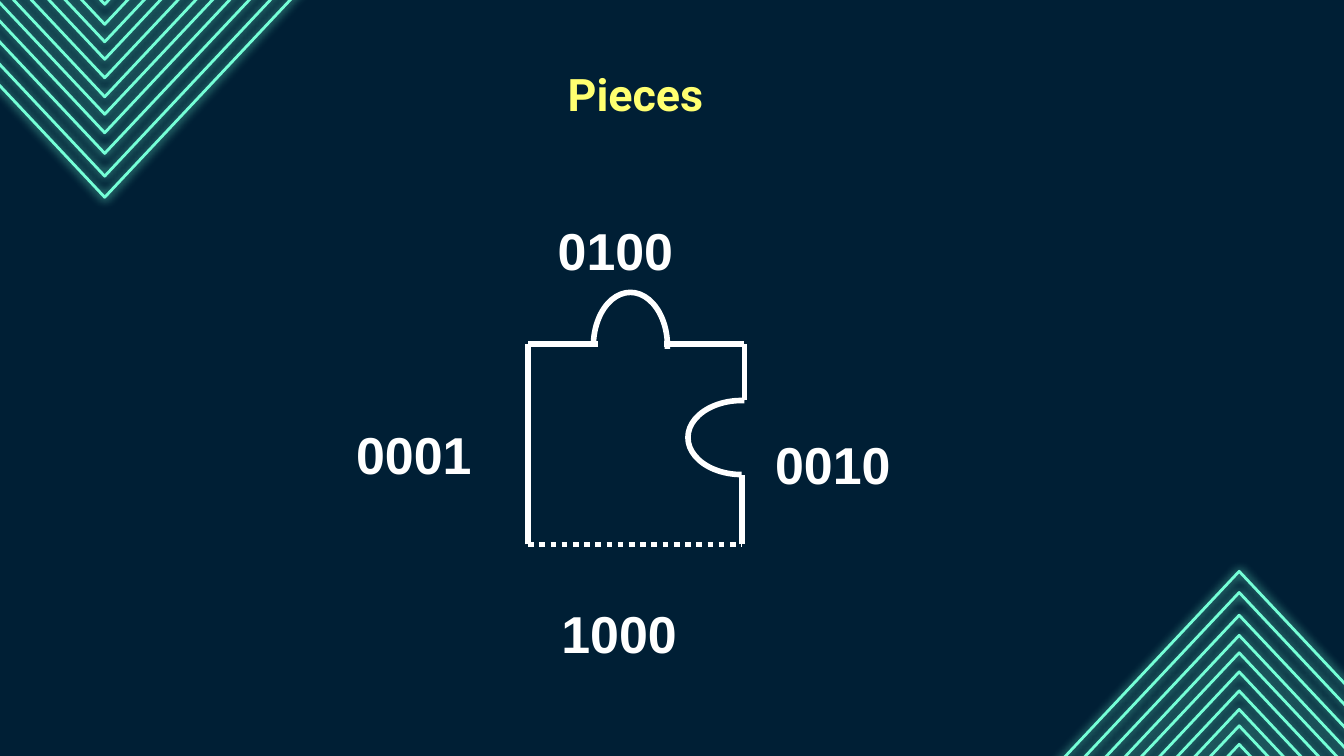
from lxml.etree import SubElement
from pptx import Presentation
from pptx.dml.color import RGBColor
from pptx.enum.dml import MSO_LINE
from pptx.enum.shapes import MSO_CONNECTOR, MSO_SHAPE
from pptx.enum.text import MSO_ANCHOR, PP_ALIGN
from pptx.oxml.ns import qn
from pptx.util import Cm, Pt

# Content, lengths in centimetres
NAVY, MINT, YELLOW, WHITE = "001F35", "75FFD7", "FFFF70", "FFFFFF"
TITLE = "Pieces"
LABELS = [("0010", 14.4, 6.91), ("0001", 6.48, 6.73),
          ("0100", 10.29, 2.87), ("1000", 10.36, 10.11)]
SMALL, LARGE = (4.2, 4.46), (5.45, 5.8)  # half width and height of a chevron
# Apex x, direction of the arms, then chevron size and apex heights
CHEVRONS = [
    (1.98, -1, [(SMALL, [2.9, 2.16, 1.47, 0.79, 0.08]),
                (LARGE, [3.73, 3.33, 2.51, 1.83, 1.12, 0.46])]),
    (23.42, 1, [(SMALL, [11.63, 12.34, 13.06, 13.72]),
                (LARGE, [10.8, 11.2, 12.01, 12.7, 13.41, 14.07])]),
]
# Edges of the puzzle piece
LEFT, RIGHT, SIDE, TOP, BOTTOM = 9.98, 14.02, 14.07, 6.5, 10.29
EDGES = [(LEFT, BOTTOM, LEFT, TOP), (SIDE, 7.57, SIDE, TOP),
         (RIGHT, BOTTOM, RIGHT, 8.97), (11.3, TOP, LEFT, TOP),
         (SIDE, TOP, 12.55, TOP)]
ARCS = [(10.9, 5.84, 270), (13, 7.57, 180)]


def rgb(color):
    return RGBColor.from_string(color)


def style_line(line, color, width, dash=None):
    line.color.rgb = rgb(color)
    line.width = Pt(width)
    if dash:
        line.dash_style = dash


def add_text(s, text, x, y, w, h, size=48, font="Arial", color=WHITE,
             align=PP_ALIGN.LEFT, anchor=MSO_ANCHOR.TOP, inset=0.13, baseline=0):
    tf = s.shapes.add_textbox(Cm(x), Cm(y), Cm(w), Cm(h)).text_frame
    tf.word_wrap = True
    tf.vertical_anchor = anchor
    tf.margin_top = tf.margin_bottom = Cm(inset)
    p = tf.paragraphs[0]
    p.alignment = align
    r = p.add_run()
    r.text = text
    r.font.size, r.font.name, r.font.bold = Pt(size), font, True
    r.font.color.rgb = rgb(color)
    if baseline:
        r.font._element.set("baseline", str(baseline * 1000))


def add_chevron(s, x, y, half, rise):
    """Draw an open V with its apex at x, y and a glow around the line."""
    builder = s.shapes.build_freeform(Cm(x + half), Cm(y + rise))
    builder.add_line_segments([(Cm(x), Cm(y)), (Cm(x - half), Cm(y + rise))],
                              close=False)
    sp = builder.convert_to_shape()
    sp.fill.background()
    style_line(sp.line, MINT, 1.5)
    sp.shadow.inherit = False
    effects = sp._element.spPr.find(qn("a:effectLst"))
    glow = SubElement(effects, qn("a:outerShdw"), blurRad=str(Pt(5.6)),
                      dist="0", dir="0", algn="bl", rotWithShape="0")
    SubElement(glow, qn("a:srgbClr"), val=MINT)


def add_edge(s, x1, y1, x2, y2, dash=None):
    sp = s.shapes.add_connector(MSO_CONNECTOR.STRAIGHT,
                                Cm(x1), Cm(y1), Cm(x2), Cm(y2))
    style_line(sp.line, WHITE, 3, dash)
    SubElement(sp._element.spPr, qn("a:effectLst"))


def add_arc(s, x, y, rotation):
    sp = s.shapes.add_shape(MSO_SHAPE.ARC, Cm(x), Cm(y), Cm(2.03), Cm(1.4))
    sp.adjustments[0], sp.adjustments[1] = 162, 56.64
    sp.rotation = rotation
    sp.fill.background()
    style_line(sp.line, WHITE, 3)
    sp.shadow.inherit = False


def main():
    prs = Presentation()
    prs.slide_width, prs.slide_height = Cm(25.4), Cm(14.29)
    s = prs.slides.add_slide(prs.slide_layouts[6])
    s.background.fill.solid()
    s.background.fill.fore_color.rgb = rgb(NAVY)

    # Corner chevrons
    for x, direction, groups in CHEVRONS:
        for (half, height), apexes in groups:
            for y in apexes:
                add_chevron(s, x, y, half, direction * height)

    # Title and side codes
    add_text(s, TITLE, 5.99, 0.25, 12.04, 3.05, size=24, font="Roboto",
             color=YELLOW, align=PP_ALIGN.CENTER, anchor=MSO_ANCHOR.MIDDLE,
             inset=0.25)
    for text, x, y in LABELS:
        add_text(s, text, x, y, 3.43, 1.73, baseline=-25)

    # Puzzle piece
    add_edge(s, LEFT, BOTTOM, RIGHT, BOTTOM, dash=MSO_LINE.ROUND_DOT)
    for edge in EDGES:
        add_edge(s, *edge)
    for arc in ARCS:
        add_arc(s, *arc)

    prs.save("out.pptx")


if __name__ == "__main__":
    main()
